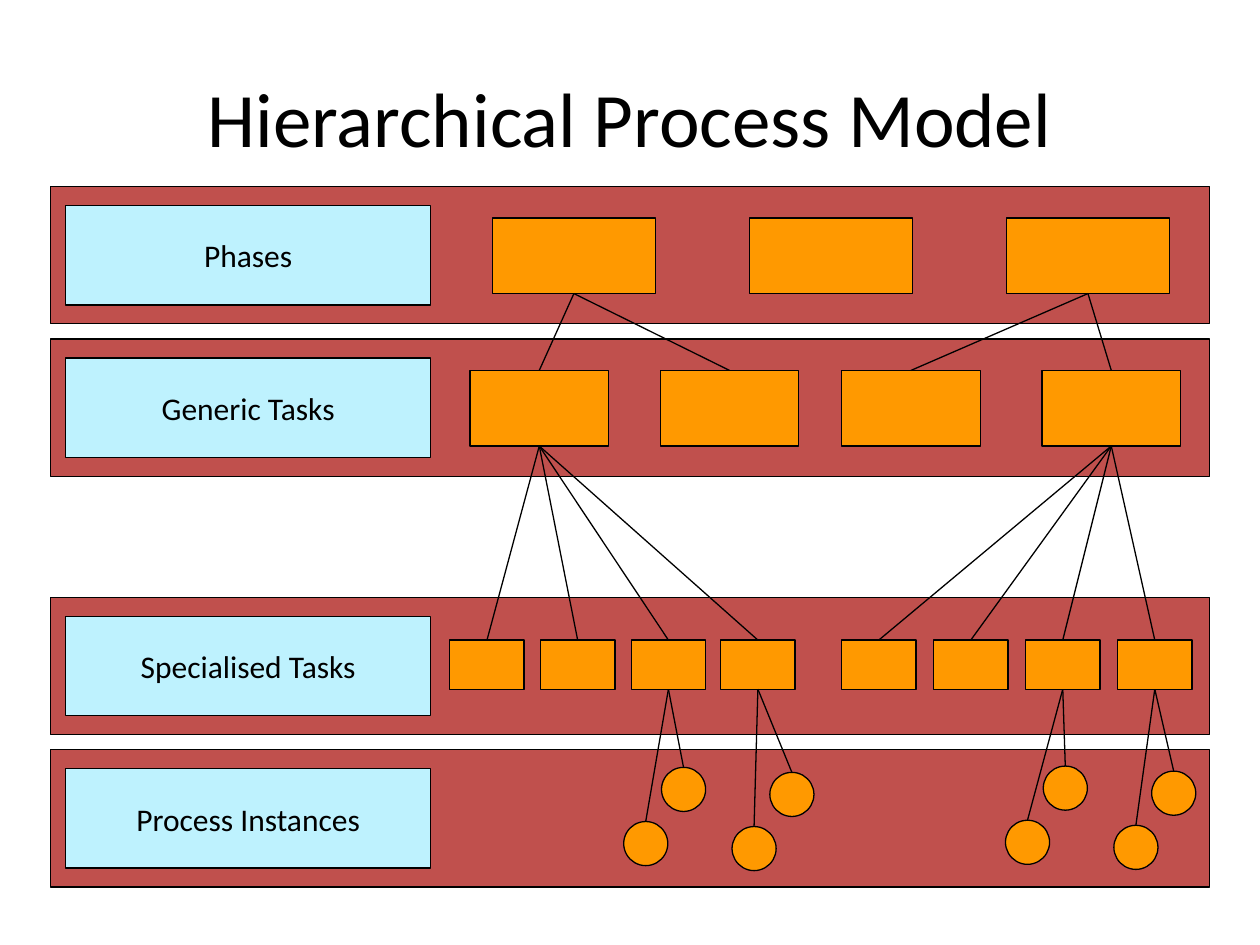
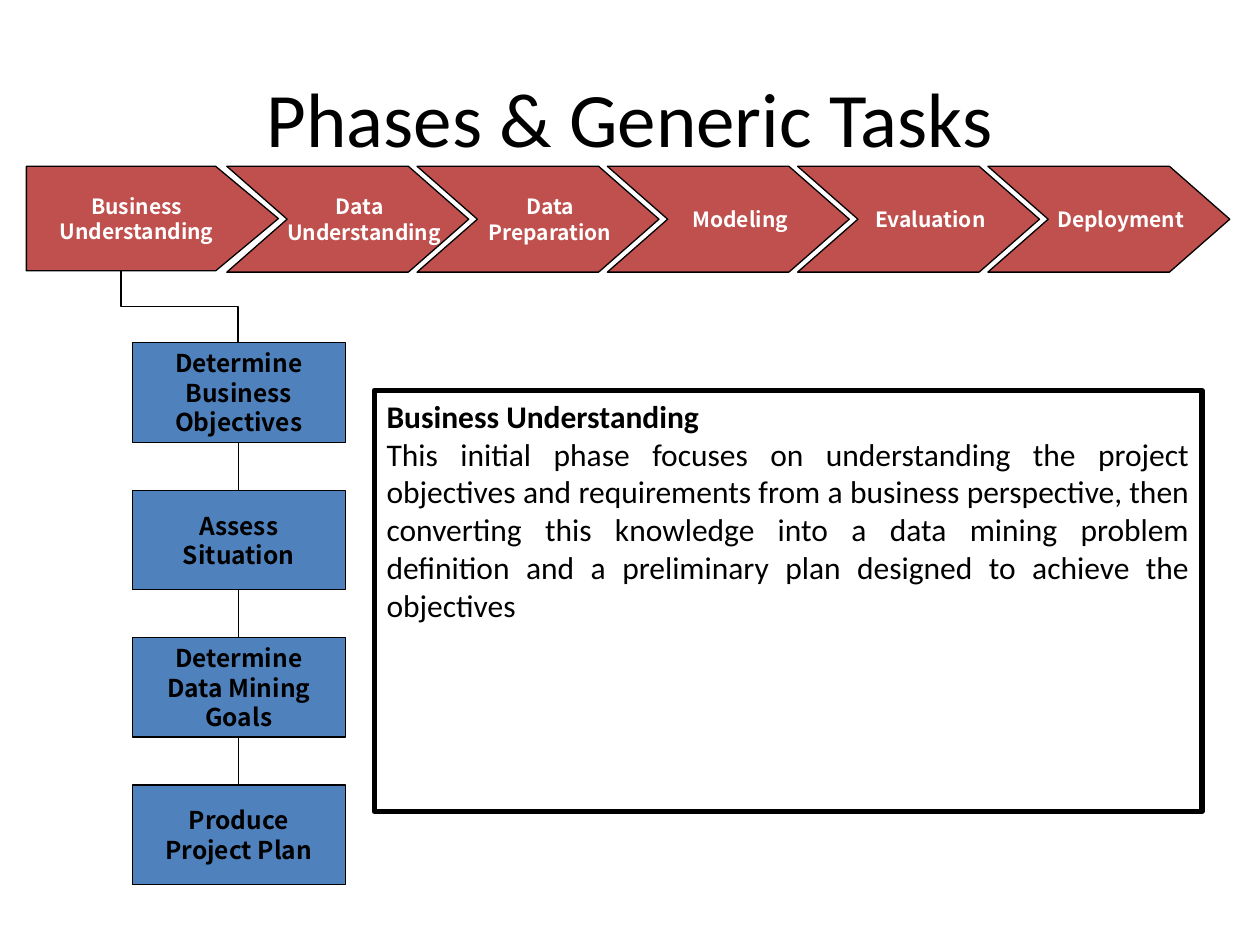
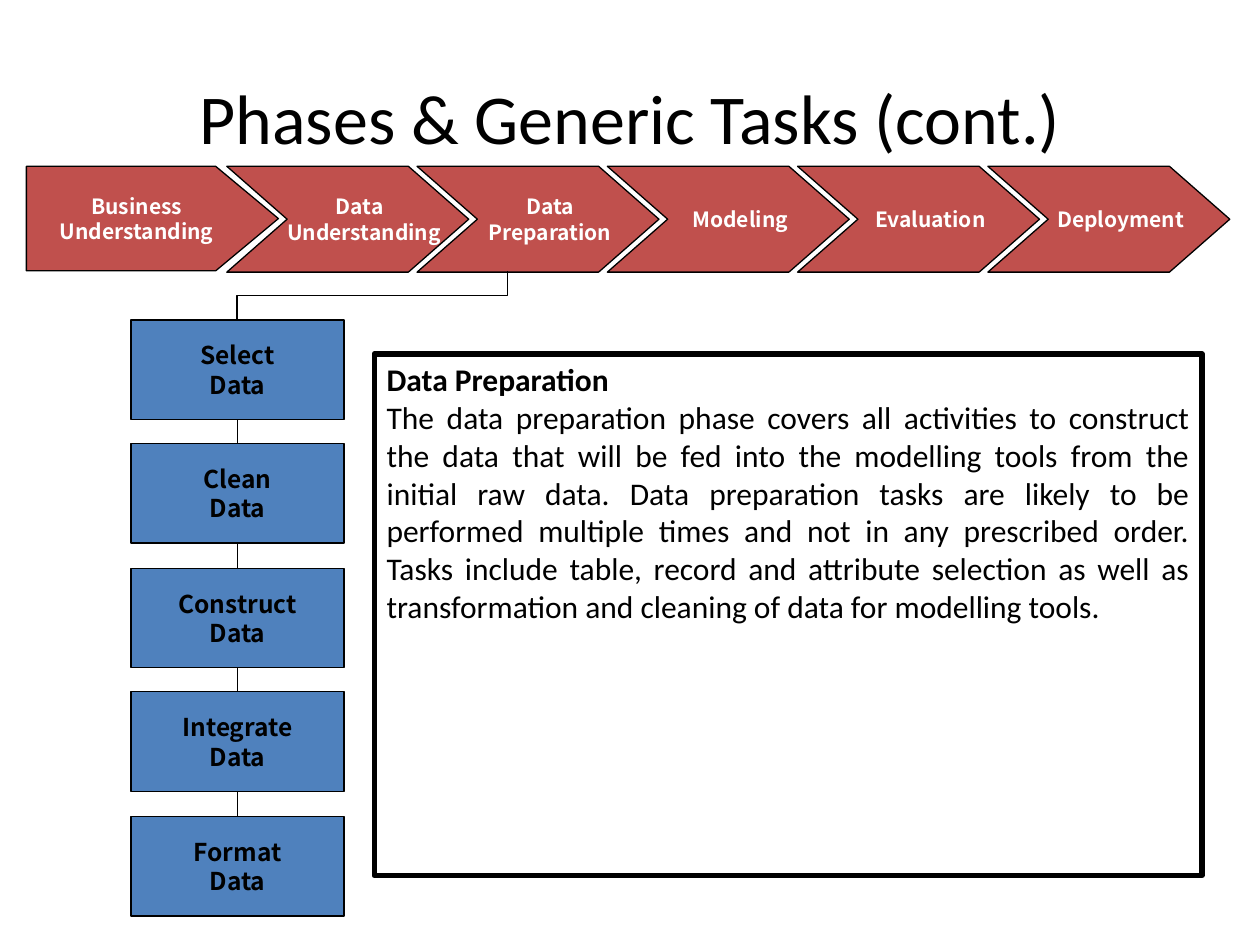
from pptx import Presentation
from pptx.dml.color import RGBColor
from pptx.enum.shapes import MSO_CONNECTOR, MSO_SHAPE
from pptx.enum.text import MSO_ANCHOR, PP_ALIGN
from pptx.oxml.ns import qn
from pptx.util import Emu, Pt
from lxml.etree import SubElement

PX = 9144  # 100 px to the inch
BLACK = RGBColor(0x00, 0x00, 0x00)
WHITE = RGBColor(0xFF, 0xFF, 0xFF)
RED = RGBColor(0xC0, 0x50, 0x4D)
ORANGE = RGBColor(0xFF, 0x99, 0x00)
PALE_BLUE = RGBColor(0xBE, 0xF2, 0xFE)
BLUE = RGBColor(0x4F, 0x81, 0xBD)
BODY_FONT = "Calibri"
CHART_FONT = "Noto Sans CJK KR"
TOP, BOTTOM = 0, 2  # connection sites

# Each phase: its lines, with the left indent of each line
FIRST_PHASE = ["Business", "Understanding"]
LATER_PHASES = [
    [("Data", 19), ("Understanding", 26)],
    [("Data", 19), ("Preparation", 19)],
    [("Modeling", 19)],
    [("Evaluation", 19)],
    [("Deployment", 19)],
]


def emu(*lengths):
    return [Emu(length * PX) for length in lengths]


class Deck:
    def __init__(self):
        self.presentation = Presentation()
        self.presentation.slide_width, self.presentation.slide_height = emu(1000, 750)
        self.slide = None

    def new_slide(self, title, size=44):
        self.slide = self.presentation.slides.add_slide(self.presentation.slide_layouts[5])
        shape = self.slide.shapes.title
        shape.left, shape.top, shape.width, shape.height = emu(50, 30, 900, 125)
        shape.text_frame.text = title
        shape.text_frame.vertical_anchor = MSO_ANCHOR.MIDDLE
        self.format(shape.text_frame.paragraphs[0], size, BODY_FONT)

    def format(self, paragraph, size, font, color=BLACK, bold=False, align=PP_ALIGN.CENTER):
        paragraph.alignment = align
        paragraph.font.size = Pt(size)
        paragraph.font.name = font
        paragraph.font.bold = bold
        paragraph.font.color.rgb = color

    def box(self, left, top, width, height, fill=None, kind=MSO_SHAPE.RECTANGLE, line=0.75):
        shape = self.slide.shapes.add_shape(kind, *emu(left, top, width, height))
        shape.shadow.inherit = False
        if fill is None:
            shape.fill.background()
        else:
            shape.fill.solid()
            shape.fill.fore_color.rgb = fill
        shape.line.color.rgb = BLACK
        shape.line.width = Pt(line)
        return shape

    def label(self, shape, lines, size, font, color=BLACK, bold=False):
        frame = shape.text_frame
        frame.text = "\n".join(lines)
        frame.word_wrap = False
        frame.vertical_anchor = MSO_ANCHOR.MIDDLE
        for paragraph in frame.paragraphs:
            self.format(paragraph, size, font, color, bold)

    def finish_line(self, connector):
        connector.line.color.rgb = BLACK
        connector.line.width = Pt(0.75)
        SubElement(connector._element.spPr, qn("a:effectLst"))

    def join(self, upper, lower):
        connector = self.slide.shapes.add_connector(MSO_CONNECTOR.STRAIGHT, 0, 0, 0, 0)
        connector.begin_connect(upper, BOTTOM)
        connector.end_connect(lower, TOP)
        self.finish_line(connector)

    def elbow(self, start_x, start_y, end_x, end_y):
        """Draw down, across and down: a bent connector turned by a quarter."""
        across, down = abs(end_x - start_x), end_y - start_y
        left = (start_x + end_x - down) // 2
        top = (start_y + end_y - across) // 2
        first, last, angle = left, left + down, 90
        if end_x > start_x:
            first, last, angle = last, first, 270
        connector = self.slide.shapes.add_connector(
            MSO_CONNECTOR.ELBOW, *emu(first, top, last, top + across))
        connector._element.spPr.find(qn("a:xfrm")).set("rot", str(angle * 60000))
        self.finish_line(connector)

    def phase_band(self):
        start = self.box(21, 132, 200, 83, RED, MSO_SHAPE.PENTAGON)
        start.adjustments[0] = 0.6
        self.label(start, FIRST_PHASE, 12, CHART_FONT, WHITE, True)
        for index, lines in enumerate(LATER_PHASES):
            chevron = self.box(180 + 151 * index, 132, 192, 84, RED, MSO_SHAPE.CHEVRON)
            chevron.adjustments[0] = 0.57
            self.label(chevron, [text for text, _ in lines], 12, CHART_FONT, WHITE, True)
            for paragraph, (_, indent) in zip(chevron.text_frame.paragraphs, lines):
                paragraph._p.get_or_add_pPr().set("marL", str(indent * PX))

    def task_chain(self, phase_x, left, first_top, last_top, tasks):
        width, height = 169, 79
        self.elbow(phase_x, 215, left + width // 2, first_top)
        previous = None
        for index, lines in enumerate(tasks):
            top = first_top + (last_top - first_top) * index // (len(tasks) - 1)
            task = self.box(left, top, width, height, BLUE, MSO_SHAPE.FLOWCHART_PROCESS)
            self.label(task, lines, 14, CHART_FONT, bold=True)
            if previous is not None:
                self.join(previous, task)
            previous = task

    def description(self, top, height, heading, text):
        frame = self.box(297, top, 657, height, line=3).text_frame
        frame.text = f"{heading}\n{text}"
        frame.word_wrap = True
        frame.vertical_anchor = MSO_ANCHOR.TOP
        first, second = frame.paragraphs
        self.format(first, 18, BODY_FONT, bold=True, align=PP_ALIGN.LEFT)
        self.format(second, 18, BODY_FONT, align=PP_ALIGN.JUSTIFY)


def add_hierarchy(deck):
    deck.new_slide("Hierarchical Process Model")

    # Level bands and their names
    levels = {"Phases": 148, "Generic Tasks": 269,
              "Specialised Tasks": 474, "Process Instances": 595}
    for name, top in levels.items():
        deck.box(40, top, 920, 109, RED)
        deck.label(deck.box(52, top + 15, 290, 79, PALE_BLUE), [name], 18, BODY_FONT)

    # Nodes of each level
    phases = [deck.box(left, 173, 129, 60, ORANGE) for left in (391, 595, 799)]
    generic = [deck.box(left, 294, 110, 60, ORANGE) for left in (373, 524, 668, 827)]
    special = [deck.box(left, 508, 59, 39, ORANGE)
               for left in (357, 429, 501, 572, 668, 741, 814, 887)]

    # Links between levels
    links = [(phases[0], generic[:2]), (phases[2], generic[2:]),
             (generic[0], special[:4]), (generic[3], special[4:])]
    for parent, children in links:
        for child in children:
            deck.join(parent, child)

    # A low and a high instance under some specialised tasks
    low_instances = {2: (495, 652), 3: (581, 656), 6: (798, 651), 7: (884, 655)}
    for index, (left, top) in low_instances.items():
        for right, up in ((0, 0), (30, 43)):
            instance = deck.box(left + right, top - up, 35, 35, ORANGE, MSO_SHAPE.OVAL)
            deck.join(special[index], instance)


def add_business_understanding(deck):
    deck.new_slide("Phases & Generic Tasks")
    deck.phase_band()
    deck.task_chain(96, 105, 272, 623, [
        ["Determine", "Business", "Objectives"],
        ["Assess", "Situation"],
        ["Determine", "Data Mining", "Goals"],
        ["Produce", "Project Plan"],
    ])
    deck.description(
        310, 334, "Business Understanding",
        "This initial phase focuses on understanding the project objectives and "
        "requirements from a business perspective, then converting this knowledge "
        "into a data mining problem definition and a preliminary plan designed to "
        "achieve the objectives")


def add_data_preparation(deck):
    deck.new_slide("Phases & Generic Tasks (cont.)", size=40)
    deck.phase_band()
    steps = ["Select", "Clean", "Construct", "Integrate", "Format"]
    deck.task_chain(403, 104, 254, 648, [[step, "Data"] for step in steps])
    deck.description(
        281, 414, "Data Preparation",
        "The data preparation phase covers all activities to construct the data that "
        "will be fed into the modelling tools from the initial raw data. Data "
        "preparation tasks are likely to be performed multiple times and not in any "
        "prescribed order. Tasks include table, record and attribute selection as "
        "well as transformation and cleaning of data for modelling tools.")


def main():
    deck = Deck()
    add_hierarchy(deck)
    add_business_understanding(deck)
    add_data_preparation(deck)
    deck.presentation.save("out.pptx")


if __name__ == "__main__":
    main()
